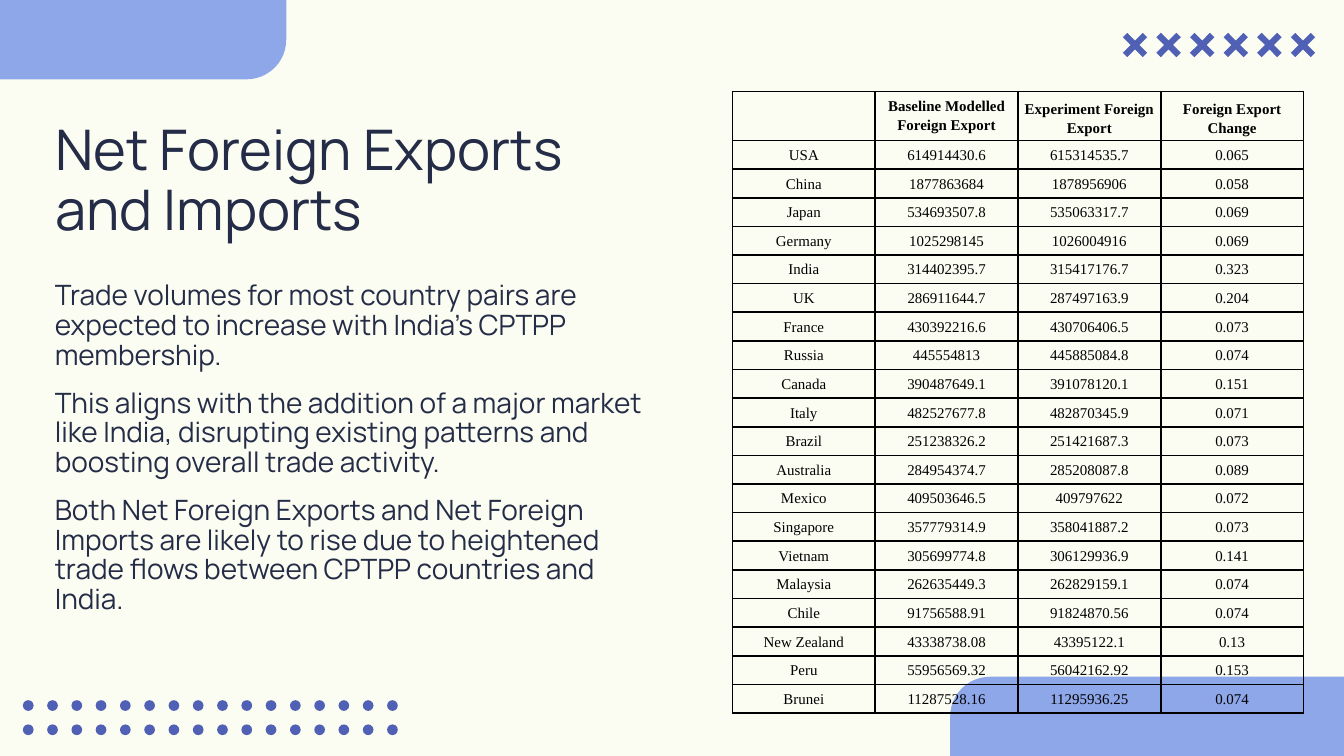
from lxml.etree import SubElement
from pptx import Presentation
from pptx.dml.color import RGBColor
from pptx.enum.shapes import MSO_SHAPE
from pptx.enum.text import MSO_ANCHOR, PP_ALIGN
from pptx.oxml.ns import qn
from pptx.util import Inches, Pt

UNIT = Inches(0.1)  # one grid step
COLS, ROWS = 100, 56.25
HUES = {"paper": "FCFDF2", "sky": "8EA7E9", "blue": "5061B5",
        "ink": "242C47", "black": "000000"}
SANS, SERIF = "Manrope", "Times New Roman"

TITLE = "Net Foreign Exports and Imports"
NOTES = [
    "Trade volumes for most country pairs are expected to increase with India’s CPTPP membership.",
    "This aligns with the addition of a major market like India, disrupting existing patterns "
    "and boosting overall trade activity.",
    "Both Net Foreign Exports and Net Foreign Imports are likely to rise due to heightened "
    "trade flows between CPTPP countries and India.",
]
HEADS = ["", "Baseline Modelled Foreign Export", "Experiment Foreign Export",
         "Foreign Export Change"]
TRADE = [
    ("USA", "614914430.6", "615314535.7", "0.065"),
    ("China", "1877863684", "1878956906", "0.058"),
    ("Japan", "534693507.8", "535063317.7", "0.069"),
    ("Germany", "1025298145", "1026004916", "0.069"),
    ("India", "314402395.7", "315417176.7", "0.323"),
    ("UK", "286911644.7", "287497163.9", "0.204"),
    ("France", "430392216.6", "430706406.5", "0.073"),
    ("Russia", "445554813", "445885084.8", "0.074"),
    ("Canada", "390487649.1", "391078120.1", "0.151"),
    ("Italy", "482527677.8", "482870345.9", "0.071"),
    ("Brazil", "251238326.2", "251421687.3", "0.073"),
    ("Australia", "284954374.7", "285208087.8", "0.089"),
    ("Mexico", "409503646.5", "409797622", "0.072"),
    ("Singapore", "357779314.9", "358041887.2", "0.073"),
    ("Vietnam", "305699774.8", "306129936.9", "0.141"),
    ("Malaysia", "262635449.3", "262829159.1", "0.074"),
    ("Chile", "91756588.91", "91824870.56", "0.074"),
    ("New Zealand", "43338738.08", "43395122.1", "0.13"),
    ("Peru", "55956569.32", "56042162.92", "0.153"),
    ("Brunei", "11287528.16", "11295936.25", "0.074"),
]


def hue(name):
    return RGBColor.from_string(HUES[name])


def span(*steps):
    return [round(step * UNIT) for step in steps]


def add_run(para, text, size, face, color, bold=False):
    run = para.add_run()
    run.text = text
    font = run.font
    font.size, font.name, font.bold = Pt(size), face, bold
    font.color.rgb = hue(color)


def add_form(shapes, kind, box, color, turn=0, adjust=None):
    form = shapes.add_shape(kind, *span(*box))
    form.shadow.inherit = False
    form.fill.solid()
    form.fill.fore_color.rgb = hue(color)
    form.line.fill.background()
    form.rotation = turn
    if adjust is not None:
        form.adjustments[0] = adjust


def add_tab(slide, box, turn):
    """Fill the box with a quarter-turned panel that has one round corner."""
    x, y, w, h = box
    upright = (x + (w - h) / 2, y + (h - w) / 2, h, w)
    add_form(slide.shapes, MSO_SHAPE.ROUND_1_RECTANGLE, upright, "sky", turn, 0.5)


def add_grid(slide, box, cols, rows, size, kind, turn=0, adjust=None):
    """Spread equal marks over the box, edge to edge."""
    x, y, w, h = box
    group = slide.shapes.add_group_shape()
    for row in range(rows):
        for col in range(cols):
            left = x + col * (w - size) / max(cols - 1, 1)
            top = y + row * (h - size) / max(rows - 1, 1)
            add_form(group.shapes, kind, (left, top, size, size), "blue", turn, adjust)


def set_frame(shape):
    frame = shape.text_frame
    frame.word_wrap = True
    frame.vertical_anchor = MSO_ANCHOR.TOP
    frame.margin_left = frame.margin_right = UNIT
    frame.margin_top = frame.margin_bottom = UNIT
    return frame


def add_story(slide, box):
    x, y, w, h = box
    head = 11.8
    # Title
    title = slide.shapes.title
    title.left, title.top, title.width, title.height = span(x, y, w, head)
    para = set_frame(title).paragraphs[0]
    para.alignment, para.line_spacing = PP_ALIGN.LEFT, 0.88
    add_run(para, TITLE, 30, SANS, "ink")
    # Body
    body = set_frame(slide.shapes.add_textbox(*span(x, y + head, w, h - head)))
    for index, note in enumerate(NOTES):
        para = body.add_paragraph() if index else body.paragraphs[0]
        para.line_spacing = 0.88
        if index:
            para.space_before = Pt(10)
        add_run(para, note, 15, SANS, "ink")


def set_cell(cell, text, bold, anchor, side):
    cell.vertical_anchor = anchor
    cell.margin_left = cell.margin_right = Inches(side)
    cell.margin_top = cell.margin_bottom = Inches(0.03)
    para = cell.text_frame.paragraphs[0]
    para.alignment, para.line_spacing = PP_ALIGN.CENTER, 1.15
    if text:
        add_run(para, text, 8, SERIF, "black", bold)
    else:
        SubElement(para._p, qn("a:endParaRPr"), sz="800")
    # Borders
    props = cell._tc.get_or_add_tcPr()
    for edge in ("a:lnL", "a:lnR", "a:lnT", "a:lnB"):
        line = SubElement(props, qn(edge), w=str(Pt(1)))
        fill = SubElement(line, qn("a:solidFill"))
        SubElement(fill, qn("a:srgbClr"), val=HUES["black"])
    cell.fill.background()


def add_trade(slide, box):
    head = 3.6
    table = slide.shapes.add_table(len(TRADE) + 1, len(HEADS), *span(*box)).table
    table.first_row = table.horz_banding = False
    for col in table.columns:
        col.width = span(box[2] / len(HEADS))[0]
    for index, row in enumerate(table.rows):
        row.height = span((box[3] - head) / len(TRADE) if index else head)[0]
    for r, line in enumerate([HEADS, *TRADE]):
        for c, text in enumerate(line):
            low = r == 0 and c > 1
            set_cell(table.cell(r, c), text, r == 0,
                     MSO_ANCHOR.BOTTOM if low else MSO_ANCHOR.TOP,
                     0 if r == 0 and c == 3 else 0.03)


def main():
    deck = Presentation()
    deck.slide_width, deck.slide_height = span(COLS, ROWS)
    slide = deck.slides.add_slide(deck.slide_layouts[5])
    slide.background.fill.solid()
    slide.background.fill.fore_color.rgb = hue("paper")
    # Corner panels and marks
    add_tab(slide, (0, 0, 21.3, 5.9), 90)
    add_tab(slide, (COLS - 29.3, ROWS - 5.9, 29.3, 5.9), 270)
    add_grid(slide, (83.4, 2.3, 14.6, 2.1), 6, 1, 2.1, MSO_SHAPE.CROSS, 45, 0.39)
    add_grid(slide, (1.7, 52.1, 27.9, 2.6), 16, 2, 0.8, MSO_SHAPE.OVAL)
    # Content
    add_story(slide, (3.1, 8.2, 47.3, 42))
    add_trade(slide, (54.5, 6.8, 42.5, 44.95))
    deck.save("out.pptx")


if __name__ == "__main__":
    main()
